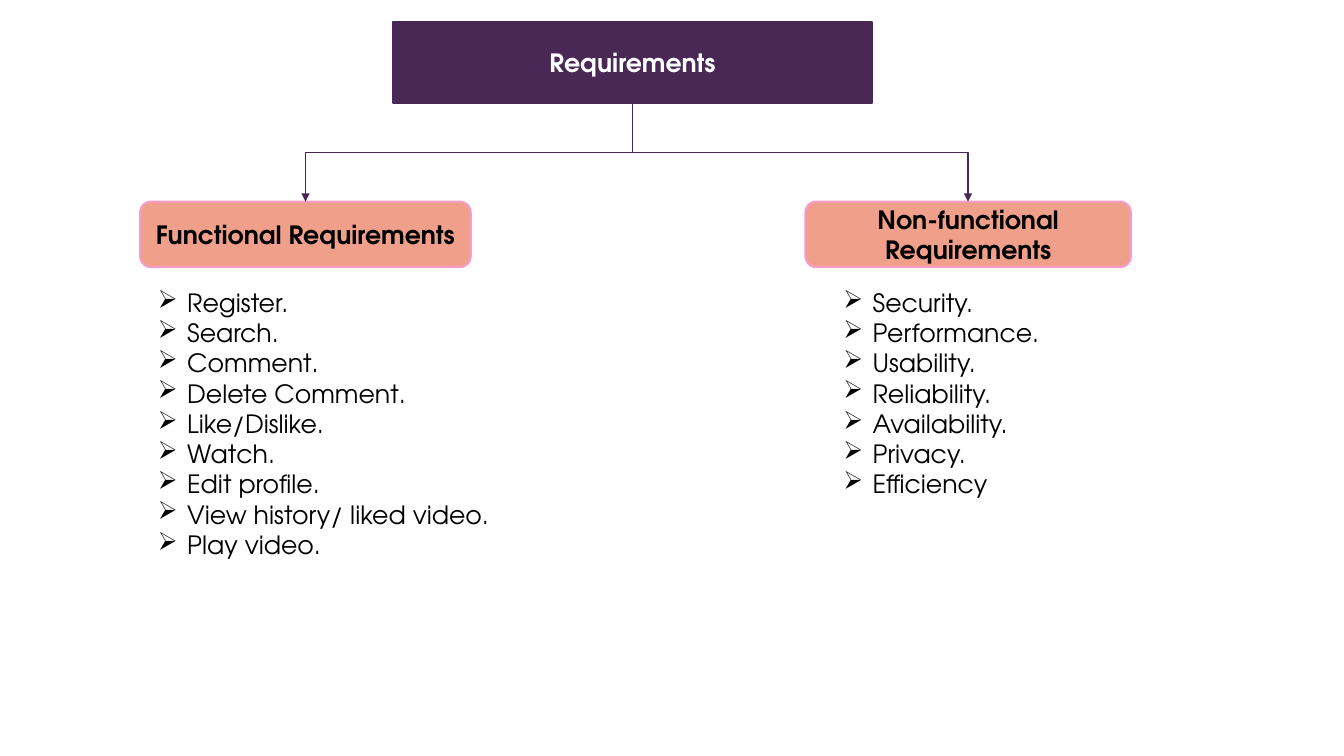
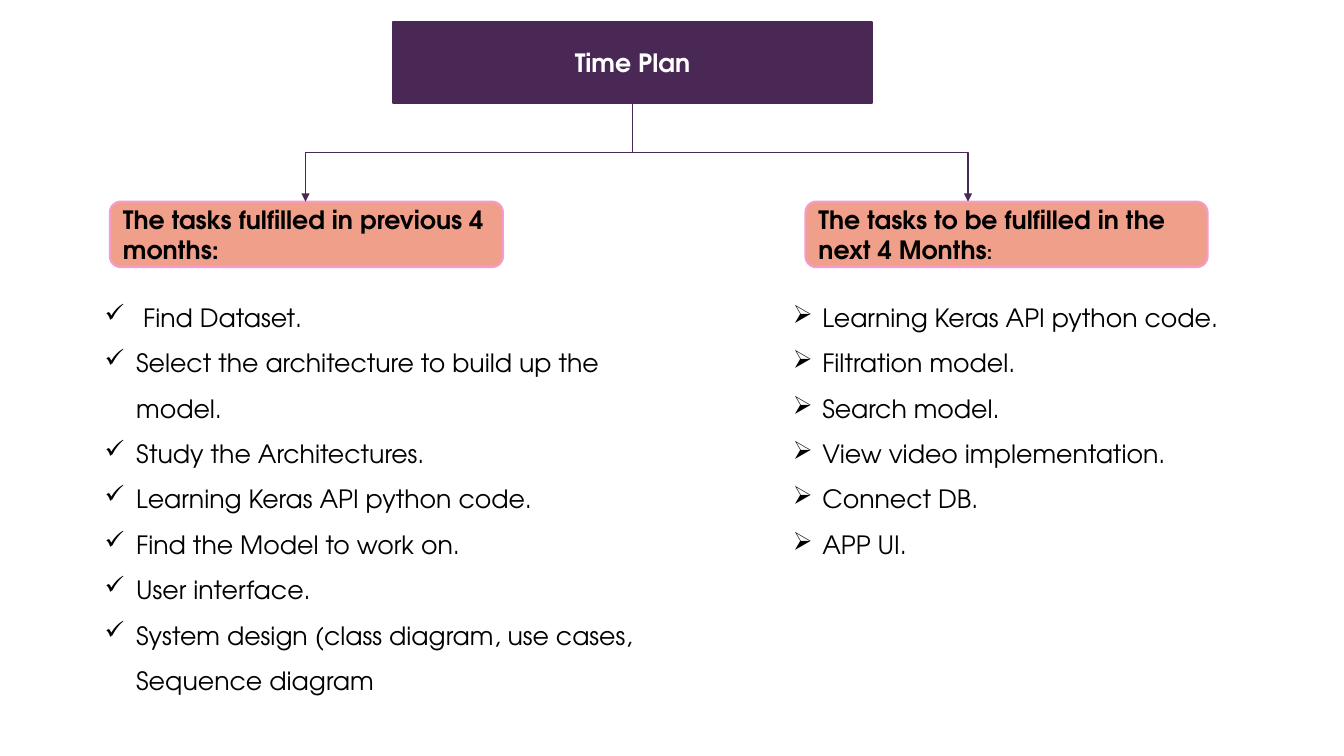
from collections import namedtuple

from pptx import Presentation
from pptx.dml.color import RGBColor
from pptx.enum.shapes import MSO_CONNECTOR as LINK, MSO_SHAPE as SHAPE
from pptx.enum.text import MSO_ANCHOR as ANCHOR, MSO_AUTO_SIZE as FIT, PP_ALIGN as ALIGN
from pptx.oxml.ns import qn
from pptx.util import Pt
from lxml.etree import SubElement

FONT = "TeX Gyre Adventor"
PLUM = RGBColor(0x49, 0x28, 0x56)
SALMON = RGBColor(0xEF, 0x9F, 0x8A)
PINK = RGBColor(0xF6, 0x9C, 0xCB)
BLACK = RGBColor(0, 0, 0)
WHITE = RGBColor(255, 255, 255)

Box = namedtuple("Box", "left top width height")
# Bullet character, text indent and first-line offset
Bullet = namedtuple("Bullet", "char margin hang")
# One side of the tree; small_end is a smaller ending of the heading
Branch = namedtuple("Branch", "heading small_end heading_box items list_box bullet")

ROOT_BOX = Box(280.8, 15.84, 342, 57.6)
ARROW_ENDS = (218.2, 691.4)
HEADING_TOP, HEADING_HEIGHT = 144, 46.8
LIST_TOP = 201.6
ARROWHEAD = Bullet("\u27a2", 41, -21)
CHECK = Bullet("\u2713", 22.5, -22.5)


def style_font(font, color, bold=False):
    font.name, font.size, font.bold = FONT, Pt(18), bold
    font.color.rgb = color


def style_box(shape, fill, outline):
    shape.fill.solid()
    shape.fill.fore_color.rgb = fill
    shape.line.color.rgb = outline
    shape.line.width = Pt(1.5)
    frame = shape.text_frame
    frame.word_wrap = True
    frame.auto_size = FIT.NONE
    frame.vertical_anchor = ANCHOR.MIDDLE


def add_root(slide, text, box):
    """Title as the rounded box at the top of the tree."""
    title = slide.shapes.title
    title.left, title.top, title.width, title.height = map(Pt, box)
    outline = SubElement(title._element.spPr, qn("a:prstGeom"), prst="roundRect")
    SubElement(outline, qn("a:avLst"))
    style_box(title, PLUM, PLUM)
    title.text_frame.text = text
    line = title.text_frame.paragraphs[0]
    line.alignment = ALIGN.CENTER
    style_font(line.font, WHITE, bold=True)


def add_heading(slide, text, small_end, box, alignment):
    heading = slide.shapes.add_shape(SHAPE.ROUNDED_RECTANGLE, *map(Pt, box))
    heading.shadow.inherit = False
    style_box(heading, SALMON, PINK)
    line = heading.text_frame.paragraphs[0]
    line.alignment = alignment
    style_font(line.font, BLACK, bold=True)
    line.add_run().text = text
    if small_end:
        ending = line.add_run()
        ending.text = small_end
        ending.font.size = Pt(14)


def add_list(slide, items, box, bullet, spacing):
    frame = slide.shapes.add_textbox(*map(Pt, box)).text_frame
    frame.word_wrap = True
    for index, item in enumerate(items):
        line = frame.paragraphs[0] if index == 0 else frame.add_paragraph()
        line.text = item
        line.line_spacing = spacing
        style_font(line.font, BLACK)
        props = line._p.get_or_add_pPr()
        props.set("marL", str(Pt(bullet.margin)))
        props.set("indent", str(Pt(bullet.hang)))
        mark = props.makeelement(qn("a:buChar"), {"char": bullet.char})
        props.find(qn("a:defRPr")).addprevious(mark)


def add_arrow(slide, start, end):
    """Elbow arrow that leaves downwards, so its frame is turned by a quarter."""
    (x1, y1), (x2, y2) = start, end
    mid_x, mid_y = (x1 + x2) / 2, (y1 + y2) / 2
    turn = 1 if x2 < x1 else -1
    half_w, half_h = turn * (y2 - y1) / 2, abs(x2 - x1) / 2
    arrow = slide.shapes.add_connector(
        LINK.ELBOW, Pt(mid_x - half_w), Pt(mid_y - half_h),
        Pt(mid_x + half_w), Pt(mid_y + half_h))
    arrow.line.color.rgb = PLUM
    arrow.line.width = Pt(0.75)
    props = arrow._element.spPr
    props.find(qn("a:xfrm")).set("rot", str(turn * 90 % 360 * 60000))
    SubElement(props.find(qn("a:ln")), qn("a:tailEnd"), type="triangle")
    SubElement(props, qn("a:effectLst"))


def add_tree_slide(deck, title, branches, alignment, spacing):
    slide = deck.slides.add_slide(deck.slide_layouts[5])
    add_root(slide, title, ROOT_BOX)
    stem = (ROOT_BOX.left + ROOT_BOX.width / 2, ROOT_BOX.top + ROOT_BOX.height)
    for branch, arrow_x in zip(branches, ARROW_ENDS):
        add_heading(slide, branch.heading, branch.small_end, branch.heading_box, alignment)
        add_list(slide, branch.items, branch.list_box, branch.bullet, spacing)
        add_arrow(slide, stem, (arrow_x, HEADING_TOP))


def heading_box(left, width):
    return Box(left, HEADING_TOP, width, HEADING_HEIGHT)


def list_box(left, width, height):
    return Box(left, LIST_TOP, width, height)


deck = Presentation()
deck.slide_width, deck.slide_height = Pt(960), Pt(540)

# Requirements
functional = Branch(
    "Functional Requirements", "", heading_box(100.08, 236.16),
    ["Register.", "Search.", "Comment.", "Delete Comment.", "Like/Dislike.", "Watch.",
     "Edit profile.", "View history/ liked video.", "Play video."],
    list_box(85.68, 292.32, 225.36), ARROWHEAD)
non_functional = Branch(
    "Non-functional Requirements", "", heading_box(575.28, 232.56),
    ["Security.", "Performance.", "Usability.", "Reliability.", "Availability.",
     "Privacy.", "Efficiency"],
    list_box(575.28, 219.6, 159.84), ARROWHEAD)
add_tree_slide(deck, "Requirements", [functional, non_functional], ALIGN.CENTER, 1.0)

# Time plan
fulfilled = Branch(
    "The tasks fulfilled in previous 4 months:", "", heading_box(78.48, 280.8),
    [" Find Dataset.", "Select the architecture to build up the model.",
     "Study the Architectures.", "Learning Keras API python code.",
     "Find the Model to work on.", "User interface.",
     "System design (class diagram, use cases, Sequence diagram"],
    list_box(67.68, 429.12, 323.28), CHECK)
upcoming = Branch(
    "The tasks to be fulfilled in the next 4 Months", ":", heading_box(575.28, 287.28),
    ["Learning Keras API python code.", "Filtration model.", "Search model.",
     "View video implementation.", "Connect DB.", "APP UI."],
    list_box(539.28, 420.48, 203.76), ARROWHEAD)
add_tree_slide(deck, "Time Plan", [fulfilled, upcoming], ALIGN.LEFT, 1.5)

deck.save("out.pptx")
